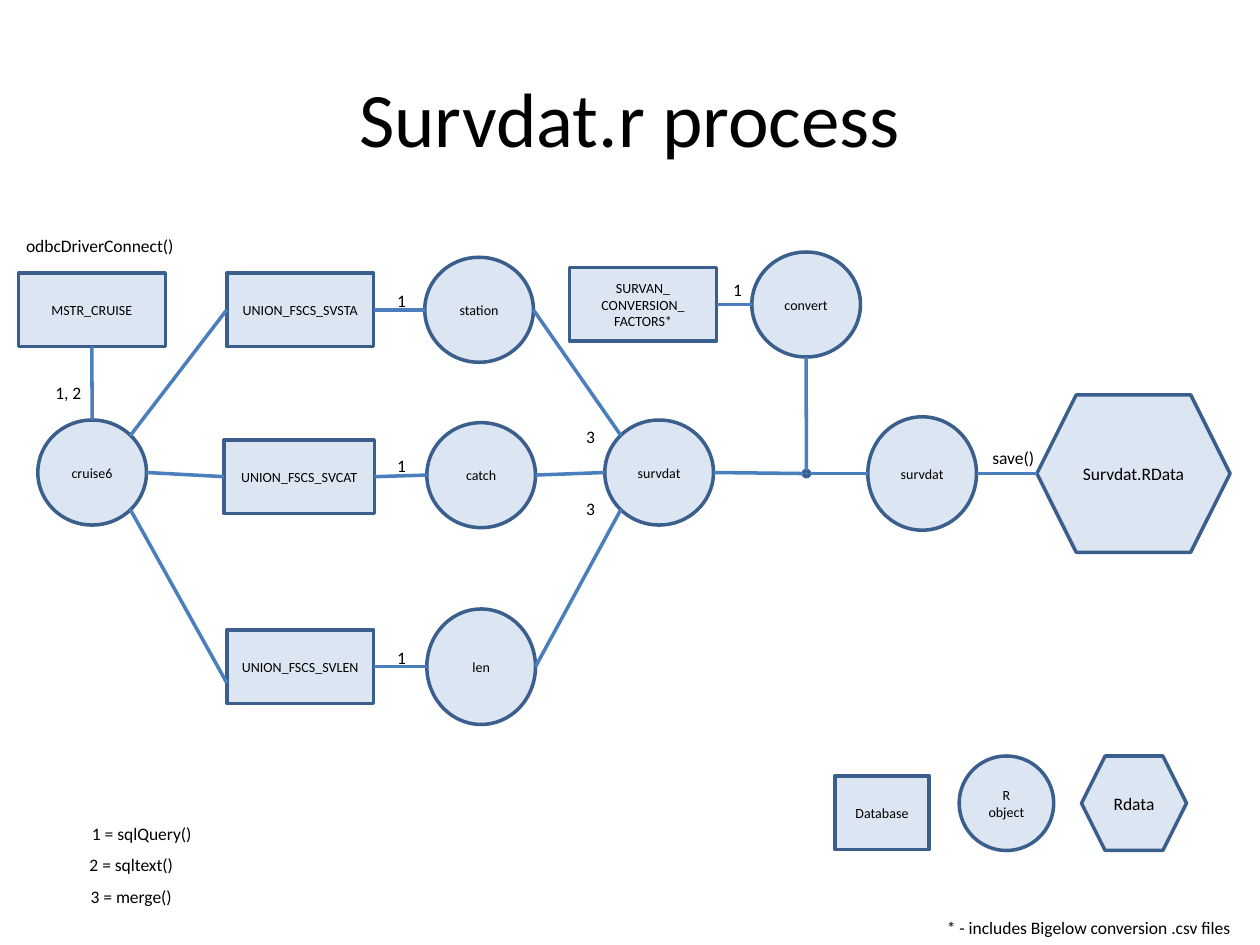
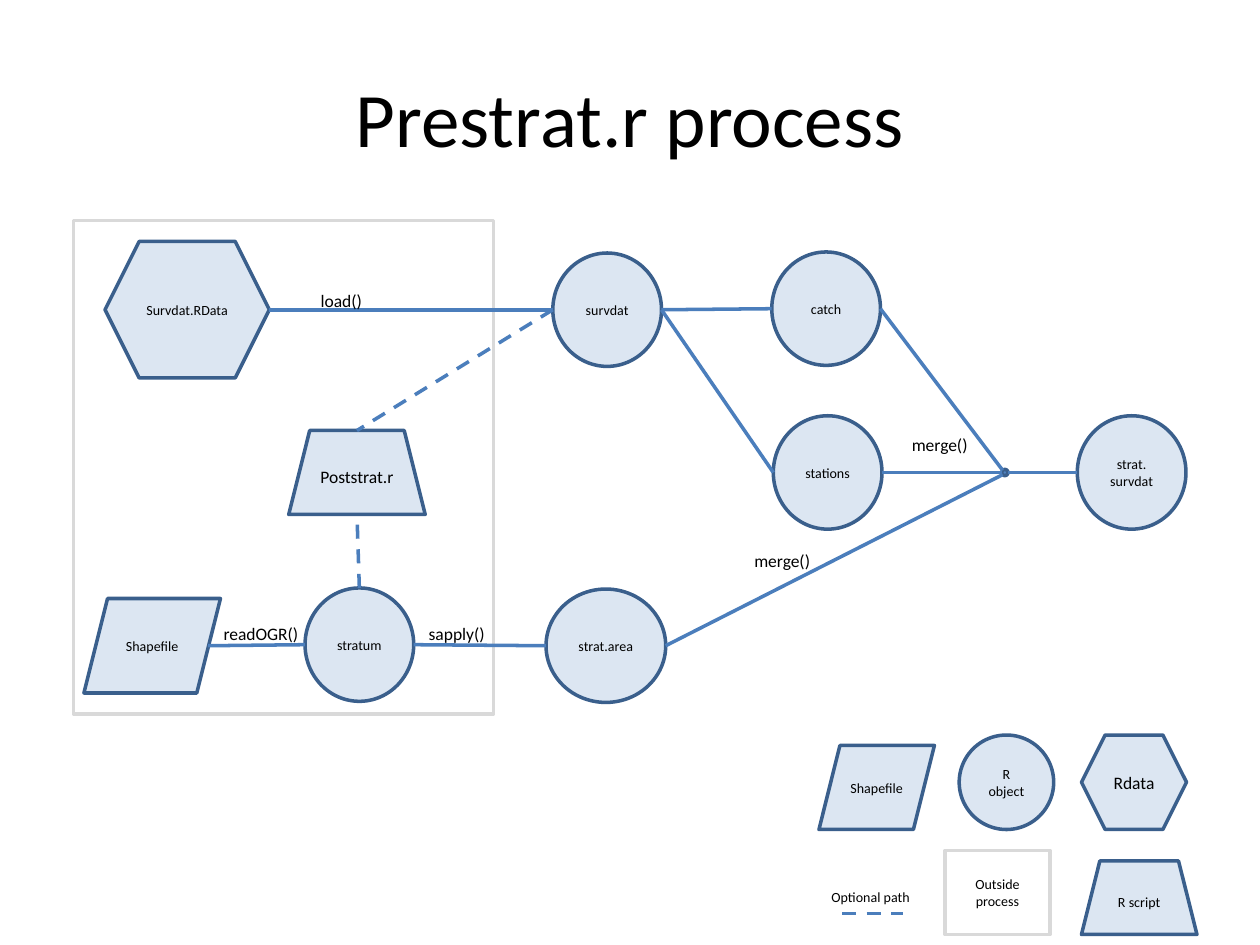
from dataclasses import dataclass
from typing import Any

from lxml import etree
from pptx import Presentation
from pptx.dml.color import RGBColor
from pptx.enum.dml import MSO_LINE_DASH_STYLE as DASH
from pptx.enum.shapes import MSO_CONNECTOR as CONN, MSO_SHAPE as GEOM
from pptx.enum.text import MSO_ANCHOR as ANCHOR, MSO_AUTO_SIZE as FIT, PP_ALIGN as ALIGN
from pptx.oxml.ns import qn
from pptx.util import Inches, Pt

# Grid and theme shared by both slides
WIDTH, HEIGHT = Inches(10), Inches(7.5)
COLS, ROWS = 120, 90
FONT, INK = "Calibri", "000000"
PALE, EDGE, WIRE, DOT_FILL, GREY = "DCE6F2", "3A5F8C", "4B7EBC", "4F81BD", "D9D9D9"
LINE_PT = 2
LABEL_H = 3.25

RECT, OVAL, HEX = GEOM.RECTANGLE, GEOM.OVAL, GEOM.HEXAGON
SLANT, TRAP = GEOM.PARALLELOGRAM, GEOM.TRAPEZOID

# Points on a shape's edge, as shares of its width and height
SIDES = {
    "top": (0.5, 0), "left": (0, 0.5), "bottom": (0.5, 1), "right": (1, 0.5),
    "top left": (0.15, 0.15), "bottom left": (0.15, 0.85),
    "top right": (0.85, 0.15), "bottom right": (0.85, 0.85),
    "low left": (0, 0.72), "slanted right": (0.91, 0.5),
}
RECT_SITES = {"top": 0, "left": 1, "bottom": 2, "right": 3}


@dataclass
class Node:
    text: str
    geom: Any
    col: float
    row: float
    w: float = 10.35
    h: float = 10.8
    size: int = 8
    key: str = ""
    fill: str | None = PALE
    edge: str = EDGE

    def point(self, side: str) -> tuple[float, float]:
        fx, fy = SIDES[side]
        return self.col + fx * self.w, self.row + fy * self.h


@dataclass
class Link:
    start: str
    start_side: str
    end: str
    end_side: str
    dashed: bool = False


@dataclass
class Label:
    text: str
    col: float
    row: float
    w: float = 11
    size: int = 10
    align: Any = ALIGN.CENTER


def x(col: float) -> int:
    return round(WIDTH * col / COLS)


def y(row: float) -> int:
    return round(HEIGHT * row / ROWS)


def rgb(color: str) -> RGBColor:
    return RGBColor.from_string(color)


def apply(target: Any, values: dict[str, Any]) -> None:
    for name, value in values.items():
        setattr(target, name, value)


def write(tf: Any, text: str, size: int, align: Any, **frame: Any) -> None:
    """Fill a text frame, one paragraph for each line."""
    apply(tf, {"word_wrap": True, **frame})
    tf.text = text
    for p in tf.paragraphs:
        p.alignment = align
        for r in p.runs:
            apply(r.font, {"name": FONT, "size": Pt(size)})
            r.font.color.rgb = rgb(INK)


def draw_title(slide: Any, text: str) -> None:
    sp = slide.shapes.add_textbox(x(6), y(3.6), x(108), y(15))
    write(sp.text_frame, text, 44, ALIGN.CENTER, vertical_anchor=ANCHOR.MIDDLE)


def draw_label(slide: Any, label: Label) -> None:
    sp = slide.shapes.add_textbox(x(label.col), y(label.row), x(label.w), y(LABEL_H))
    frame = {"auto_size": FIT.SHAPE_TO_FIT_TEXT}
    if label.align == ALIGN.CENTER:
        frame |= {"margin_left": 0, "margin_right": 0}
    write(sp.text_frame, label.text, label.size, label.align, **frame)


def draw_node(slide: Any, node: Node) -> Any:
    sp = slide.shapes.add_shape(node.geom, x(node.col), y(node.row), x(node.w), y(node.h))
    sp.shadow.inherit = False
    if node.fill:
        sp.fill.solid()
        sp.fill.fore_color.rgb = rgb(node.fill)
    else:
        sp.fill.background()
    sp.line.color.rgb = rgb(node.edge)
    sp.line.width = Pt(LINE_PT)
    if node.text:
        write(sp.text_frame, node.text, node.size, ALIGN.CENTER, vertical_anchor=ANCHOR.MIDDLE)
    return sp


def draw_line(slide: Any, start: tuple[float, float], end: tuple[float, float],
              dashed: bool = False) -> Any:
    cx = slide.shapes.add_connector(CONN.STRAIGHT, x(start[0]), y(start[1]), x(end[0]), y(end[1]))
    cx.line.color.rgb = rgb(WIRE)
    cx.line.width = Pt(LINE_PT)
    if dashed:
        cx.line.dash_style = DASH.DASH
    etree.SubElement(cx._element.spPr, qn("a:effectLst"))
    return cx


def draw_flow(prs: Any, title: str, nodes: list[Node], links: list[Link],
              labels: list[Label]) -> Any:
    slide = prs.slides.add_slide(prs.slide_layouts[6])
    draw_title(slide, title)
    placed = {n.key or n.text: (n, draw_node(slide, n)) for n in nodes}
    for link in links:
        (a, a_sp), (b, b_sp) = placed[link.start], placed[link.end]
        cx = draw_line(slide, a.point(link.start_side), b.point(link.end_side), link.dashed)
        if a.geom == RECT and link.start_side in RECT_SITES:
            cx.begin_connect(a_sp, RECT_SITES[link.start_side])
        if b.geom == RECT and link.end_side in RECT_SITES:
            cx.end_connect(b_sp, RECT_SITES[link.end_side])
    for label in labels:
        draw_label(slide, label)
    return slide


def database(text: str, col: float, row: float, w: float = 14, key: str = "") -> Node:
    return Node(text, RECT, col, row, w, 7, key=key)


def r_object(text: str, col: float, row: float, h: float = 10, key: str = "") -> Node:
    return Node(text, OVAL, col, row, h=h, key=key)


def junction(col: float, row: float) -> Node:
    return Node("", OVAL, col, row, 0.6, 0.6, key="junction", fill=DOT_FILL)


def outside(text: str, col: float, row: float, w: float, h: float) -> Node:
    return Node(text, RECT, col, row, w, h, key=f"outside {text}", fill=None, edge=GREY)


def legend(row: float) -> list[Node]:
    """Legend entries that both slides have."""
    return [Node("R object", OVAL, 91.35, row, 9, 9),
            Node("Rdata", HEX, 103, row, 10, 9, 10)]


def survdat_slide(prs: Any) -> None:
    nodes = [
        database("MSTR_CRUISE", 1.75, 26),
        database("UNION_FSCS_SVSTA", 21.6, 26),
        database("UNION_FSCS_SVCAT", 21.35, 41.9, 14.3),
        database("UNION_FSCS_SVLEN", 21.6, 60),
        database("SURVAN_\nCONVERSION_\nFACTORS*", 54.25, 25.5, key="factors"),
        r_object("station", 40.45, 24.5),
        r_object("catch", 40.65, 40.25),
        r_object("len", 40.65, 58, 11),
        r_object("cruise6", 3.6, 40),
        r_object("survdat", 57.6, 40, key="merged"),
        r_object("survdat", 82.65, 39.7, 10.8, key="converted"),
        r_object("convert", 71.6, 24),
        Node("Survdat.RData", HEX, 98.75, 37.6, 18.4, 15, 10),
        junction(76.5, 44.8),
        database("Database", 79.5, 73.9, 9),
        *legend(72),
    ]
    links = [
        Link("MSTR_CRUISE", "bottom", "cruise6", "top"),
        Link("UNION_FSCS_SVSTA", "left", "cruise6", "top right"),
        Link("UNION_FSCS_SVCAT", "left", "cruise6", "right"),
        Link("UNION_FSCS_SVLEN", "low left", "cruise6", "bottom right"),
        Link("station", "left", "UNION_FSCS_SVSTA", "right"),
        Link("catch", "left", "UNION_FSCS_SVCAT", "right"),
        Link("len", "left", "UNION_FSCS_SVLEN", "right"),
        Link("merged", "top left", "station", "right"),
        Link("merged", "left", "catch", "right"),
        Link("merged", "bottom left", "len", "right"),
        Link("convert", "left", "factors", "right"),
        Link("junction", "top", "convert", "bottom"),
        Link("junction", "left", "merged", "right"),
        Link("converted", "left", "junction", "right"),
        Link("Survdat.RData", "left", "converted", "right"),
    ]
    marks = [("1", 37.25, 27), ("1", 37.25, 42.75), ("1", 37.25, 61),
             ("1", 69.25, 26), ("3", 55.25, 40), ("3", 55.25, 46.8)]
    labels = [
        Label("odbcDriverConnect()", 1, 21.75, 17),
        Label("1, 2", 4, 35.75, 5),
        *(Label(text, col, row, 2) for text, col, row in marks),
        Label("save()", 93, 42, 7),
        Label("1 = sqlQuery()", 5, 77.75, 17),
        Label("2 = sqltext()", 4, 80.75, 17),
        Label("3 = merge()", 4, 83.75, 17),
        Label("* - includes Bigelow conversion .csv files", 89, 86.75, 31, align=ALIGN.LEFT),
    ]
    draw_flow(prs, "Survdat.r process", nodes, links, labels)


def prestrat_slide(prs: Any) -> None:
    nodes = [
        outside("", 7, 21, 40, 47),
        Node("Survdat.RData", HEX, 10, 23, 15.65, 13),
        Node("Poststrat.r", TRAP, 27.5, 41, 13, 8, 10),
        Node("Shapefile", SLANT, 8, 57, 13, 9),
        r_object("stratum", 29.05, 56, 10.8),
        Node("strat.area", OVAL, 52, 56.1, 11.4),
        r_object("survdat", 52.65, 24.1, 10.8),
        r_object("catch", 73.5, 24, 10.8),
        r_object("stations", 73.65, 39.6, 10.8),
        r_object("strat.\nsurvdat", 102.6, 39.6, 10.8, key="strat.survdat"),
        junction(95.4, 44.7),
        *legend(70),
        Node("Shapefile", SLANT, 78, 71, 11, 8, key="legend shapefile"),
        outside("Outside process", 90, 81, 10, 8),
        Node("R script", TRAP, 103, 82, 11, 7),
    ]
    links = [
        Link("Shapefile", "slanted right", "stratum", "left"),
        Link("stratum", "right", "strat.area", "left"),
        Link("Survdat.RData", "right", "survdat", "left"),
        Link("survdat", "right", "catch", "left"),
        Link("survdat", "right", "stations", "left"),
        Link("stratum", "top", "Poststrat.r", "bottom", True),
        Link("survdat", "left", "Poststrat.r", "top", True),
        Link("catch", "right", "junction", "top left"),
        Link("stations", "right", "junction", "left"),
        Link("junction", "right", "strat.survdat", "left"),
        Link("junction", "bottom left", "strat.area", "right"),
    ]
    labels = [
        Label("load()", 28, 27, 9),
        Label("readOGR()", 19.35, 58.75),
        Label("sapply()", 38, 58.75),
        Label("merge()", 84, 40.75),
        Label("merge()", 69, 51.75),
        Label("Optional path", 78, 84, size=8, align=ALIGN.LEFT),
    ]
    slide = draw_flow(prs, "Prestrat.r process", nodes, links, labels)
    # Legend sample of the optional path
    draw_line(slide, (80.2, 87), (86, 87), dashed=True)


def main() -> None:
    prs = Presentation()
    apply(prs, {"slide_width": WIDTH, "slide_height": HEIGHT})
    survdat_slide(prs)
    prestrat_slide(prs)
    prs.save("out.pptx")


if __name__ == "__main__":
    main()
